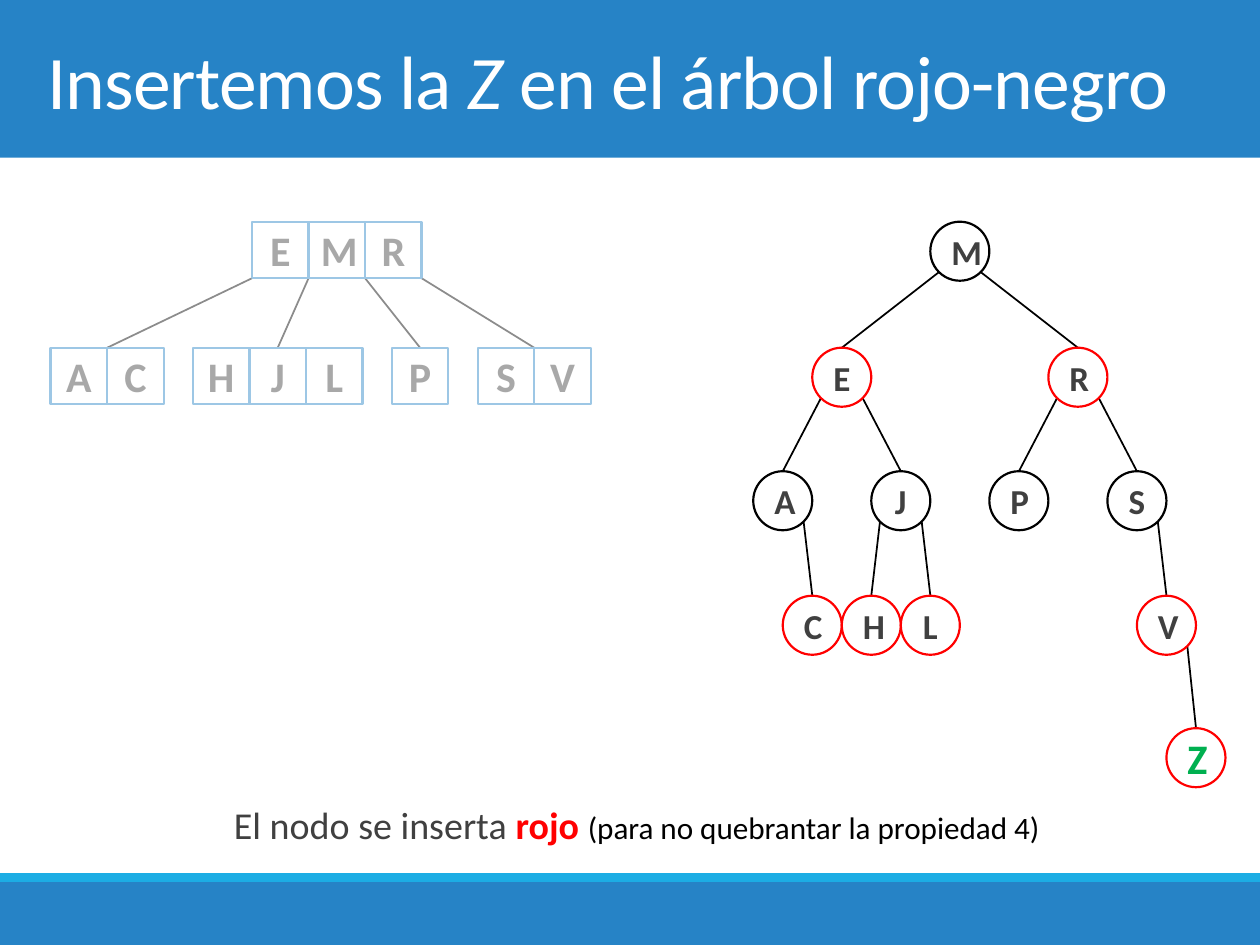
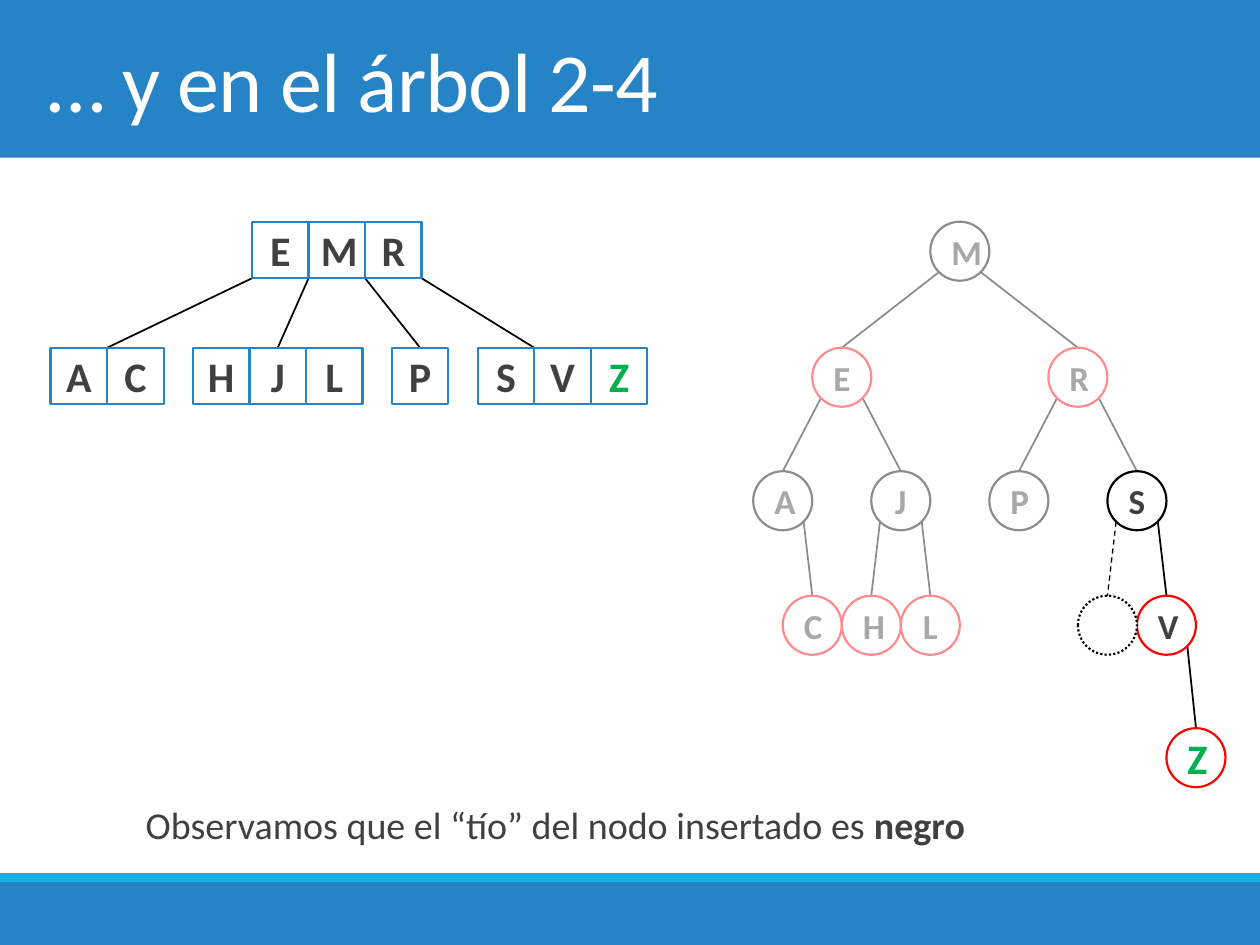
from lxml import etree
from pptx import Presentation
from pptx.dml.color import RGBColor
from pptx.enum.dml import MSO_LINE
from pptx.enum.shapes import MSO_CONNECTOR, MSO_SHAPE
from pptx.enum.text import MSO_ANCHOR, PP_ALIGN
from pptx.oxml.ns import qn
from pptx.util import Cm, Pt

RECT, OVAL = MSO_SHAPE.RECTANGLE, MSO_SHAPE.OVAL
STRAIGHT = MSO_CONNECTOR.STRAIGHT
DASH, DOT = MSO_LINE.DASH, MSO_LINE.ROUND_DOT
MIDDLE, TOP = MSO_ANCHOR.MIDDLE, MSO_ANCHOR.TOP
LEFT, CENTER = PP_ALIGN.LEFT, PP_ALIGN.CENTER

# Palette and lengths (cm)
BLUE, CYAN, WHITE, BLACK = "2683C6", "1CADE4", "FFFFFF", "000000"
GRAY, RED, GREEN = "404040", "FF0000", "00B050"
WIDTH, HEIGHT = 25.4, 19.05

# 2-4 tree
KEY, LEAF_GAP = 1.14, 0.59
ROOT_LEFT, ROOT_TOP = 5.08, 4.47
LEAF_LEFT, LEAF_TOP = 1.02, 7.01
ROOT, LEAVES = "EMR", ["AC", "HJL", "P", "SV"]

# Red-black tree: columns are half a node apart
NODE = 1.19
FIRST_CENTER = 15.78
LEVEL_TOPS = [4.47, 7.01, 9.5, 12.01, 14.68]
DIAGONAL = NODE / 2 * 0.707
# node: (column, level, parent, outline)
NODES = {
    "M": (6, 0, None, BLACK),
    "E": (2, 1, "M", RED),
    "R": (10, 1, "M", RED),
    "A": (0, 2, "E", BLACK),
    "J": (4, 2, "E", BLACK),
    "P": (8, 2, "R", BLACK),
    "S": (12, 2, "R", BLACK),
    "C": (1, 3, "A", RED),
    "H": (3, 3, "J", RED),
    "L": (5, 3, "J", RED),
    "V": (13, 3, "S", RED),
    "Z": (14, 4, "V", RED),
    "": (11, 3, "S", BLACK),  # the empty uncle
}


def rgb(value):
    return RGBColor.from_string(value)


def node_place(key):
    """Center x and top y of a red-black node."""
    column, level = NODES[key][:2]
    return FIRST_CENTER + column * NODE / 2, LEVEL_TOPS[level]


class Deck:
    font = "Calibri"

    def __init__(self):
        self.prs = Presentation()
        self.prs.slide_width, self.prs.slide_height = Cm(WIDTH), Cm(HEIGHT)
        self.slide = None

    def new_slide(self, title_runs, title_size):
        self.slide = self.prs.slides.add_slide(self.prs.slide_layouts[6])
        # Header and footer bands
        self.shape(RECT, 0, 0, WIDTH, 3.18, BLUE)
        self.shape(RECT, 0, 17.78, WIDTH, 1.27, BLUE)
        self.shape(RECT, 0, 17.6, WIDTH, 0.18, CYAN)
        # Title
        paragraph = self.text_box(0.71, 0, 24, 3.18, MIDDLE, LEFT)
        for text, italic in title_runs:
            run = self.run(paragraph, text, title_size, WHITE)
            run.font.italic = italic
            run.font._element.set("spc", "-50")

    def run(self, paragraph, text, size, color, bold=False):
        run = paragraph.add_run()
        run.text = text
        run.font.name, run.font.size, run.font.bold = self.font, Pt(size), bold
        run.font.color.rgb = rgb(color)
        return run

    def text_box(self, x, y, w, h, anchor, align):
        frame = self.slide.shapes.add_textbox(Cm(x), Cm(y), Cm(w), Cm(h)).text_frame
        frame.word_wrap, frame.vertical_anchor = True, anchor
        frame.paragraphs[0].alignment = align
        return frame.paragraphs[0]

    def shape(self, kind, x, y, w, h, fill, line=None):
        shape = self.slide.shapes.add_shape(kind, Cm(x), Cm(y), Cm(w), Cm(h))
        shape.shadow.inherit = False
        shape.fill.solid()
        shape.fill.fore_color.rgb = rgb(fill)
        if line:
            shape.line.color.rgb, shape.line.width = rgb(line), Pt(1.25)
        else:
            shape.line.fill.background()
        return shape

    def letter(self, shape, key, size):
        paragraph = shape.text_frame.paragraphs[0]
        paragraph.alignment = CENTER
        if key == "Z":
            self.run(paragraph, key, 24, GREEN, True)
        else:
            self.run(paragraph, key, size, GRAY, True)

    def edge(self, x1, y1, x2, y2, width=1):
        edge = self.slide.shapes.add_connector(STRAIGHT, Cm(x1), Cm(y1), Cm(x2), Cm(y2))
        edge.line.color.rgb, edge.line.width = rgb(BLACK), Pt(width)
        etree.SubElement(edge._element.spPr, qn("a:effectLst"))
        return edge

    def veil(self, x, y, w, h):
        veil = self.shape(RECT, x, y, w, h, WHITE)
        color = veil._element.spPr.find(qn("a:solidFill"))[0]
        etree.SubElement(color, qn("a:alpha")).set("val", "55000")

    def caption(self, x, w, runs):
        paragraph = self.text_box(x, 15.75, w, 1.45, TOP, CENTER)
        paragraph.line_spacing = 1.3
        paragraph._p.get_or_add_pPr().set("marL", str(Cm(0.25)))
        for text, size, color, bold in runs:
            self.run(paragraph, text, size, color, bold)

    # 2-4 tree
    def block(self, keys, left, top):
        for i, key in enumerate(keys):
            cell = self.shape(RECT, left + i * KEY, top, KEY, KEY, WHITE, BLUE)
            self.letter(cell, key, 24)

    def tree_24(self):
        """Draw the 2-4 tree and return the right end of its last leaf."""
        left = LEAF_LEFT
        for i, leaf in enumerate(LEAVES):
            leaf_width = len(leaf) * KEY
            self.edge(ROOT_LEFT + i * KEY, ROOT_TOP + KEY, left + leaf_width / 2, LEAF_TOP)
            self.block(leaf, left, LEAF_TOP)
            left += leaf_width + LEAF_GAP
        self.block(ROOT, ROOT_LEFT, ROOT_TOP)
        return left - LEAF_GAP

    # Red-black tree
    def parent_edge(self, key, width=1):
        x, y = node_place(key)
        parent_x, parent_top = node_place(NODES[key][2])
        side = DIAGONAL if x > parent_x else -DIAGONAL
        return self.edge(parent_x + side, parent_top + NODE / 2 + DIAGONAL, x, y, width)

    def node(self, key):
        x, y = node_place(key)
        circle = self.shape(OVAL, x - NODE / 2, y, NODE, NODE, WHITE, NODES[key][3])
        if key:
            self.letter(circle, key, 20)
        return circle

    def red_black(self, edges, nodes):
        for key in edges:
            self.parent_edge(key)
        for key in nodes:
            self.node(key)


def main():
    deck = Deck()

    # Insertion in the red-black tree
    deck.new_slide([("Insertemos la ", False), ("Z", True),
                    (" en el árbol rojo-negro", False)], 43.2)
    deck.tree_24()
    deck.red_black("ERAJPSCHLVZ", "MERAJPSCHLVZ")
    deck.caption(0.71, 24, [
        ("El nodo se inserta ", 21.7, GRAY, False),
        ("rojo ", 21.7, RED, True),
        ("(para no quebrantar la propiedad 4)", 17.8, BLACK, False)])
    deck.veil(0.5, 3.76, 12.15, 8.84)

    # Insertion in the 2-4 tree
    deck.new_slide([("… y en el árbol 2-4", False)], 48)
    leaf_end = deck.tree_24()
    deck.red_black("ERAJPSCHL", "MERAJPCHL")
    deck.caption(1.22, 19.7, [
        ("Observamos que el “tío” del nodo insertado es ", 21.7, GRAY, False),
        ("negro", 21.7, GRAY, True)])
    deck.veil(14.35, 4.24, 10.87, 12.14)
    deck.block("Z", leaf_end, LEAF_TOP)
    deck.red_black("VZ", "VSZ")
    # Empty uncle of the inserted node
    deck.node("").line.dash_style = DOT
    deck.parent_edge("", 0.75).line.dash_style = DASH

    deck.prs.save("out.pptx")


if __name__ == "__main__":
    main()
